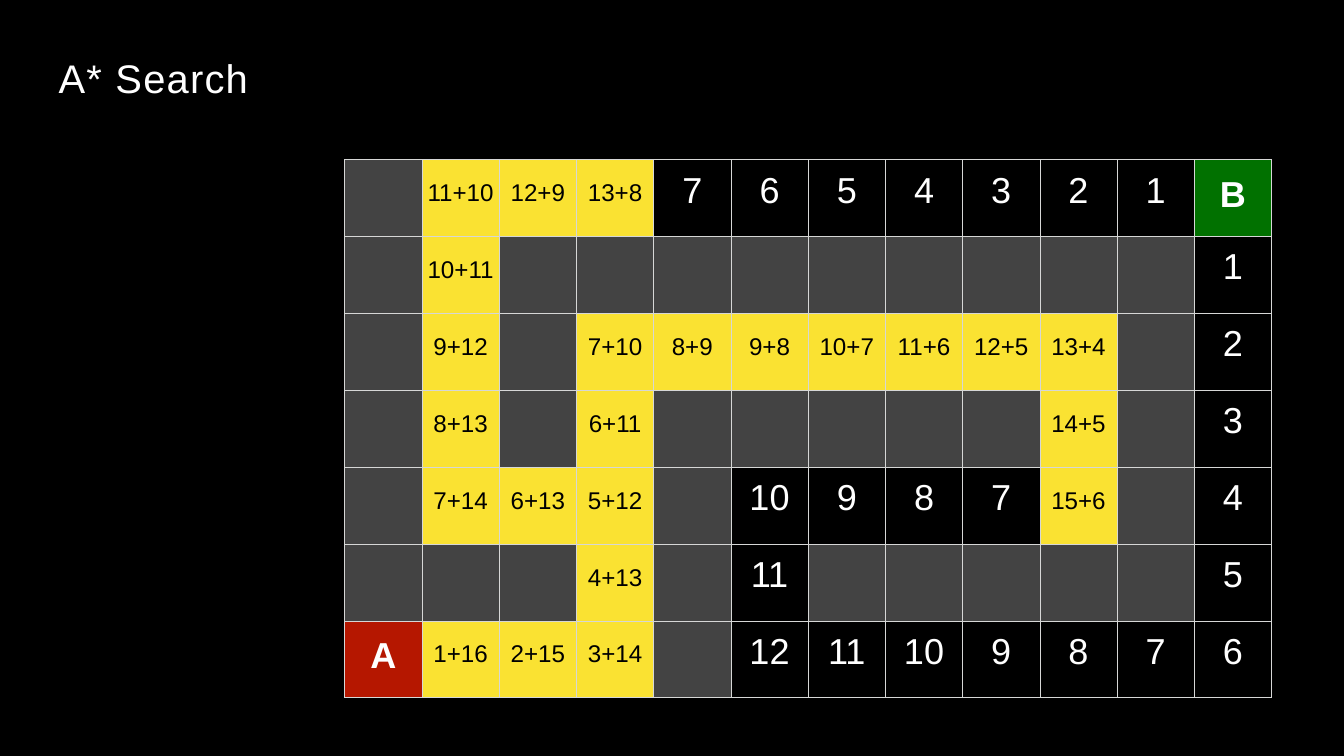
from dataclasses import dataclass

from lxml.etree import SubElement
from pptx import Presentation
from pptx.dml.color import RGBColor
from pptx.enum.text import MSO_ANCHOR, MSO_AUTO_SIZE, PP_ALIGN
from pptx.oxml.ns import qn
from pptx.slide import Slide
from pptx.table import _Cell
from pptx.text.text import _Run
from pptx.util import Inches, Pt

FONT = "Arial"
COLORS = {
    "black": "000000",
    "white": "FFFFFF",
    "wall": "434343",
    "explored": "FAE232",
    "start": "B51700",
    "goal": "017100",
    "border": "D6D7D6",
}

WALL = "#"
MAZE = [
    "# 11+10 12+9 13+8 7 6 5 4 3 2 1 B",
    "# 10+11 # # # # # # # # # 1",
    "# 9+12 # 7+10 8+9 9+8 10+7 11+6 12+5 13+4 # 2",
    "# 8+13 # 6+11 # # # # # 14+5 # 3",
    "# 7+14 6+13 5+12 # 10 9 8 7 15+6 # 4",
    "# # # 4+13 # 11 # # # # # 5",
    "A 1+16 2+15 3+14 # 12 11 10 9 8 7 6",
]


@dataclass(frozen=True)
class CellStyle:
    fill: str
    color: str = "white"
    size: float = 42.5
    top: float = 0.18
    bold: bool = False


OPEN = CellStyle("black")
EXPLORED = CellStyle("explored", color="black", size=28.5, top=0.33)
MARKED = {
    WALL: CellStyle("wall"),
    "A": CellStyle("start", top=0.25, bold=True),
    "B": CellStyle("goal", top=0.26, bold=True),
}


def rgb(name: str) -> RGBColor:
    return RGBColor.from_string(COLORS[name])


def style_of(label: str) -> CellStyle:
    """Tell explored cells (cost + heuristic) from open ones (heuristic only)."""
    return MARKED.get(label, EXPLORED if "+" in label else OPEN)


def format_run(r: _Run, size: float, color: str, bold: bool = False) -> None:
    r.font.name = FONT
    r.font.size = Pt(size)
    r.font.bold = bold
    r.font.color.rgb = rgb(color)


def add_borders(cell: _Cell) -> None:
    tc_pr = cell._tc.get_or_add_tcPr()
    for side in ("lnL", "lnR", "lnT", "lnB"):
        ln = SubElement(tc_pr, qn(f"a:{side}"), w=str(Pt(1)))
        fill = SubElement(ln, qn("a:solidFill"))
        SubElement(fill, qn("a:srgbClr"), val=COLORS["border"])


def draw_cell(cell: _Cell, label: str) -> None:
    style = style_of(label)
    add_borders(cell)
    cell.fill.solid()
    cell.fill.fore_color.rgb = rgb(style.fill)
    cell.margin_left = cell.margin_right = cell.margin_bottom = 0
    cell.margin_top = Inches(style.top)
    cell.vertical_anchor = MSO_ANCHOR.TOP
    if label == WALL:
        return
    p = cell.text_frame.paragraphs[0]
    p.text = label
    p.alignment = PP_ALIGN.CENTER
    format_run(p.runs[0], style.size, style.color, style.bold)


def draw_maze(s: Slide) -> None:
    rows = [line.split() for line in MAZE]
    table = s.shapes.add_table(
        len(rows), len(rows[0]),
        Inches(5.64), Inches(2.61), Inches(15.17), Inches(8.81),
    ).table
    table.first_row = table.horz_banding = False
    for i, row in enumerate(rows):
        for j, label in enumerate(row):
            draw_cell(table.cell(i, j), label)


def draw_title(s: Slide) -> None:
    title = s.shapes.title
    title.left, title.top = Inches(0.96), Inches(0.86)
    title.width, title.height = Inches(3.15), Inches(0.81)
    tf = title.text_frame
    tf.text = "A* Search"
    tf.word_wrap = True
    tf.auto_size = MSO_AUTO_SIZE.NONE
    tf.vertical_anchor = MSO_ANCHOR.TOP
    tf.margin_left = tf.margin_right = tf.margin_bottom = 0
    tf.margin_top = Inches(0.02)
    p = tf.paragraphs[0]
    p.alignment = PP_ALIGN.LEFT
    r = p.runs[0]
    format_run(r, 47, "white")
    r.font._element.set("spc", "145")


def main() -> None:
    prs = Presentation()
    prs.slide_width, prs.slide_height = Inches(21.99), Inches(12.37)
    s = prs.slides.add_slide(prs.slide_layouts.get_by_name("Title Only"))
    s.background.fill.solid()
    s.background.fill.fore_color.rgb = rgb("black")
    draw_maze(s)
    draw_title(s)
    prs.save("out.pptx")


if __name__ == "__main__":
    main()
